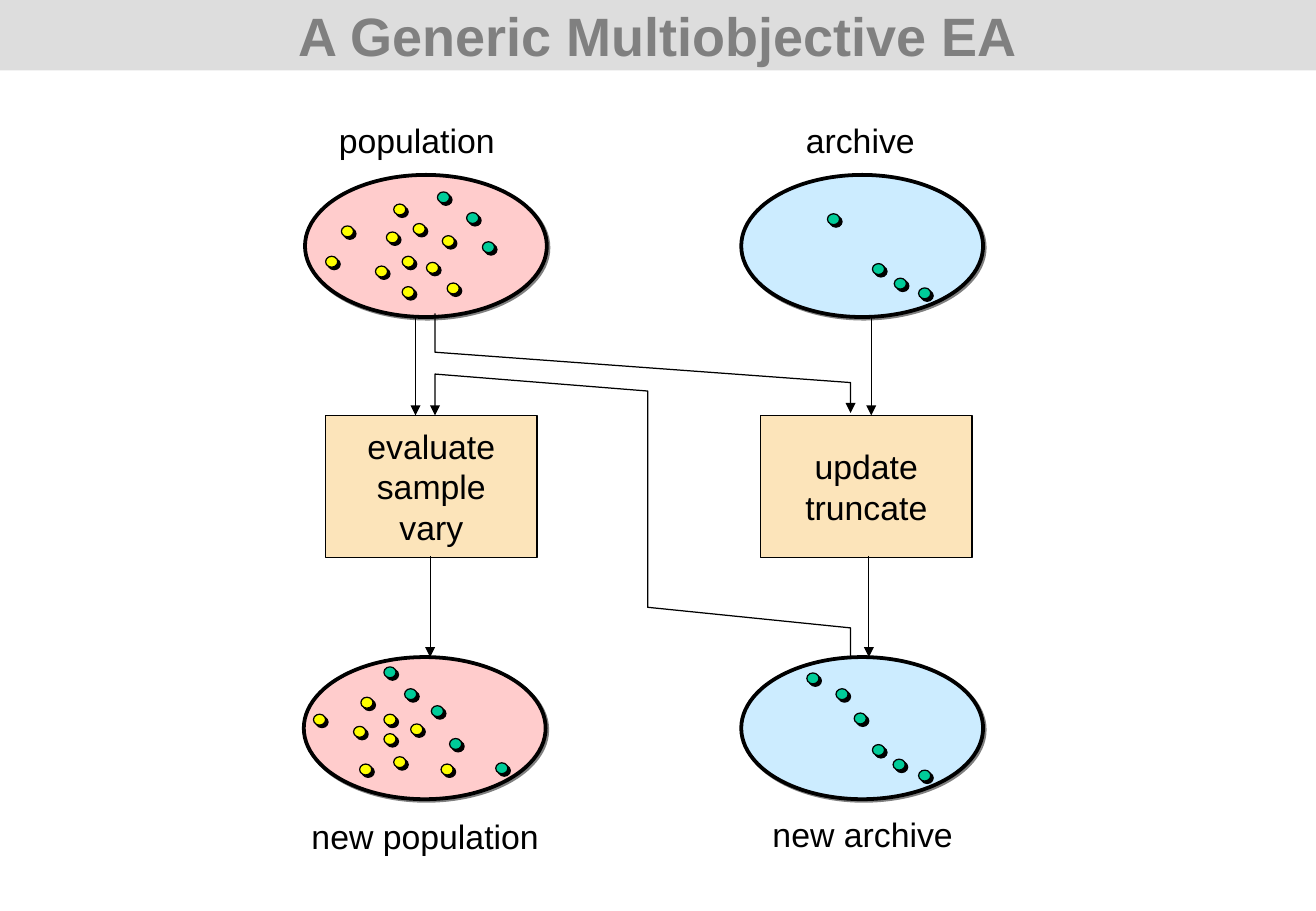
from lxml.etree import SubElement
from pptx import Presentation
from pptx.dml.color import RGBColor
from pptx.enum.shapes import MSO_CONNECTOR, MSO_SHAPE
from pptx.enum.text import MSO_ANCHOR, MSO_AUTO_SIZE, PP_ALIGN
from pptx.oxml.ns import qn
from pptx.util import Inches, Pt

BLACK = RGBColor(0x00, 0x00, 0x00)
GRAY = RGBColor(0x80, 0x80, 0x80)
BAND_GRAY = RGBColor(0xDD, 0xDD, 0xDD)
PINK = RGBColor(0xFF, 0xCC, 0xCC)
LIGHT_BLUE = RGBColor(0xCC, 0xEC, 0xFF)
SAND = RGBColor(0xFC, 0xE4, 0xBA)
YELLOW = RGBColor(0xFF, 0xFF, 0x00)
GREEN = RGBColor(0x00, 0xCC, 0x99)

COLUMNS, ROWS = 1083, 750
CELL = Inches(0.01)
SET_SIZE = (199, 117)
STEP_SIZE = (174, 117)
DOT_SIZE = (10, 9)
DOT_SHADOW_SHIFT = 2

TITLE_FONT = {"name": "Arial", "size": Pt(32), "bold": True}
BODY_FONT = {"name": "Arial", "size": Pt(20), "bold": False}

SETS = [
    ((251, 144), PINK, {
        YELLOW: [(73, 24), (67, 47), (89, 40), (100, 72), (58, 75), (30, 42),
                 (117, 89), (80, 92), (80, 67), (17, 67), (113, 50)],
        GREEN: [(109, 14), (133, 31), (146, 55)]}),
    ((610, 144), LIGHT_BLUE, {
        GREEN: [(71, 32), (108, 73), (126, 85), (146, 93)]}),
    ((250, 541), PINK, {
        GREEN: [(83, 26), (105, 40), (120, 67), (66, 8), (158, 87)],
        YELLOW: [(47, 33), (41, 57), (74, 82), (88, 55), (66, 47),
                 (113, 88), (8, 47), (46, 88), (66, 63)]}),
    ((610, 541), LIGHT_BLUE, {
        GREEN: [(78, 26), (93, 46), (108, 72), (54, 13), (125, 84), (146, 93)]}),
]
LABELS = [
    ("population", (262, 94, 162, 44)),
    ("archive", (651, 94, 114, 44)),
    ("new population", (238, 667, 224, 44)),
    ("new archive", (622, 665, 176, 44)),
]
STEPS = [
    ("evaluate\nsample\nvary", (268, 342)),
    ("update\ntruncate", (626, 342)),
]
STRAIGHT_ARROWS = [
    ((342, 261), (342, 342)),
    ((717, 261), (717, 342)),
    ((354, 458), (354, 541)),
    ((715, 458), (715, 541)),
]
BENT_ARROWS = [
    [(358, 258), (358, 290), (700, 315), (700, 340)],
    [(700, 542), (700, 517), (533, 500), (533, 322), (358, 308), (358, 342)],
]


def on_grid(*cells):
    """Turn grid counts into lengths."""
    return [cell * CELL for cell in cells]


def set_attributes(target, values):
    """Set each attribute of the target from a dict."""
    for name, value in values.items():
        setattr(target, name, value)


def write_text(shape, text, font_format, color, frame_format):
    """Fill a shape with centred text."""
    frame = shape.text_frame
    set_attributes(frame, frame_format)
    paragraph = frame.paragraphs[0]
    paragraph.text = text
    paragraph.alignment = PP_ALIGN.CENTER
    for run in paragraph.runs:
        set_attributes(run.font, font_format)
        run.font.color.rgb = color


def add_filled_shape(slide, kind, box, fill, line_width=None):
    """Add a flat shape, outlined in black when a width is given."""
    shape = slide.shapes.add_shape(kind, *on_grid(*box))
    shape.fill.solid()
    shape.fill.fore_color.rgb = fill
    if line_width:
        shape.line.color.rgb = BLACK
        shape.line.width = line_width
    else:
        shape.line.fill.background()
    shape.shadow.inherit = False
    return shape


def add_title(slide, text, box):
    """Place the title on a gray band."""
    band = add_filled_shape(slide, MSO_SHAPE.RECTANGLE, box, BAND_GRAY)
    title = slide.shapes.title
    title._element.addprevious(band._element)
    set_attributes(title, dict(zip(("left", "top", "width", "height"), on_grid(*box))))
    write_text(title, text, TITLE_FONT, GRAY, {
        "vertical_anchor": MSO_ANCHOR.MIDDLE, "word_wrap": True,
        "auto_size": MSO_AUTO_SIZE.NONE})


def add_solution_set(slide, corner, fill, dots):
    """Draw a shadowed ellipse and the solutions inside it."""
    left, top = corner
    ellipse = add_filled_shape(
        slide, MSO_SHAPE.OVAL, (left, top, *SET_SIZE), fill, Pt(2.25))
    effects = ellipse._element.spPr.find(qn("a:effectLst"))
    shadow = SubElement(effects, qn("a:outerShdw"), blurRad="0",
                        dist=str(Pt(1.4)), dir="2700000", algn="ctr", rotWithShape="0")
    SubElement(shadow, qn("a:srgbClr"), val=str(GRAY))
    for color, places in dots.items():
        for column, row in places:
            for shift, dot_fill in ((DOT_SHADOW_SHIFT, BLACK), (0, color)):
                box = (left + column + shift, top + row + shift, *DOT_SIZE)
                add_filled_shape(slide, MSO_SHAPE.OVAL, box, dot_fill, Pt(0.75))


def add_label(slide, text, box):
    """Name a solution set."""
    label = slide.shapes.add_textbox(*on_grid(*box))
    write_text(label, text, BODY_FONT, BLACK, {"word_wrap": False})


def add_step(slide, text, corner):
    """Draw a processing step as a labelled rectangle."""
    step = add_filled_shape(
        slide, MSO_SHAPE.RECTANGLE, (*corner, *STEP_SIZE), SAND, Pt(0.75))
    write_text(step, text, BODY_FONT, BLACK, {
        "vertical_anchor": MSO_ANCHOR.MIDDLE, "word_wrap": False})


def format_arrow(arrow):
    """Give a line a thin black stroke and an arrowhead at its end."""
    arrow.line.color.rgb = BLACK
    arrow.line.width = Pt(0.75)
    properties = arrow._element.spPr
    SubElement(properties.find(qn("a:ln")), qn("a:tailEnd"), type="triangle")
    SubElement(properties, qn("a:effectLst"))


def add_straight_arrow(slide, start, end):
    """Join two grid points with an arrow."""
    format_arrow(slide.shapes.add_connector(
        MSO_CONNECTOR.STRAIGHT, *on_grid(*start, *end)))


def add_bent_arrow(slide, points):
    """Run an arrow through a series of grid points."""
    start, *corners = points
    builder = slide.shapes.build_freeform(*start, scale=CELL)
    builder.add_line_segments(corners, close=False)
    arrow = builder.convert_to_shape()
    arrow.fill.background()
    format_arrow(arrow)


def main():
    """Build the slide and save it."""
    presentation = Presentation()
    presentation.slide_width, presentation.slide_height = on_grid(COLUMNS, ROWS)
    slide = presentation.slides.add_slide(presentation.slide_layouts[5])
    add_title(slide, "A Generic Multiobjective EA", (0, 0, COLUMNS, 58))
    for builder, items in (
            (add_solution_set, SETS), (add_label, LABELS),
            (add_step, STEPS), (add_straight_arrow, STRAIGHT_ARROWS)):
        for item in items:
            builder(slide, *item)
    for points in BENT_ARROWS:
        add_bent_arrow(slide, points)
    presentation.save("out.pptx")


if __name__ == "__main__":
    main()
